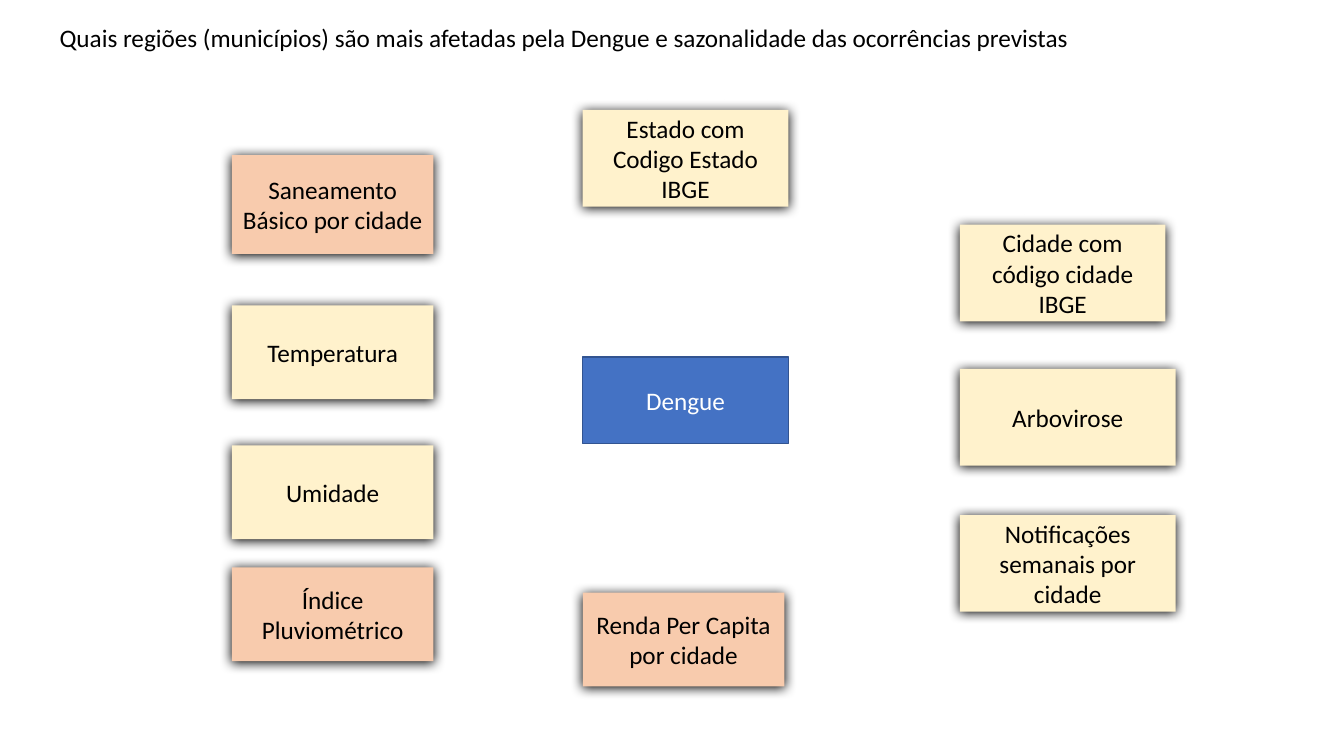
from dataclasses import dataclass

import pptx
import pptx.dml.color
import pptx.enum.shapes
import pptx.enum.text
import pptx.oxml
import pptx.oxml.ns
import pptx.presentation
import pptx.shapes.autoshape
import pptx.slide
import pptx.text.text
import pptx.util

RGBColor = pptx.dml.color.RGBColor
BLACK = RGBColor(0x00, 0x00, 0x00)
WHITE = RGBColor(0xFF, 0xFF, 0xFF)
BLUE = RGBColor(0x44, 0x72, 0xC4)
DARK_BLUE = RGBColor(0x32, 0x54, 0x91)
CREAM = RGBColor(0xFF, 0xF2, 0xCC)
SALMON = RGBColor(0xF8, 0xCB, 0xAD)

SLIDE_WIDTH = pptx.util.Inches(13.33)
SLIDE_HEIGHT = pptx.util.Inches(7.5)

# Horizontal values are percentages of the slide width, vertical ones of its height.
LEFT_COLUMN, CENTRE_COLUMN, RIGHT_COLUMN = 17.25, 43.36, 71.42
NARROW, MEDIUM, WIDE = 15, 15.3, 16.05
LOW, TALL = 12.4, 12.8

TITLE = (
    "Quais regiões (municípios) são mais afetadas pela Dengue "
    "e sazonalidade das ocorrências previstas"
)


@dataclass(frozen=True)
class Area:
    left: float
    top: float
    width: float
    height: float

    def to_lengths(self) -> tuple[int, int, int, int]:
        """Return left, top, width and height in EMU."""
        return (
            round(self.left * SLIDE_WIDTH / 100),
            round(self.top * SLIDE_HEIGHT / 100),
            round(self.width * SLIDE_WIDTH / 100),
            round(self.height * SLIDE_HEIGHT / 100),
        )


@dataclass(frozen=True)
class DataSource:
    text: str
    area: Area
    fill: RGBColor = CREAM


TITLE_AREA = Area(3.68, 2.27, 76.73, 5.33)
DENGUE_AREA = Area(CENTRE_COLUMN, 47.2, MEDIUM, 11.47)

DATA_SOURCES = [
    DataSource("Saneamento Básico por cidade", Area(LEFT_COLUMN, 20.53, NARROW, 13.07), SALMON),
    DataSource("Temperatura", Area(LEFT_COLUMN, 40.4, NARROW, LOW)),
    DataSource("Umidade", Area(LEFT_COLUMN, 58.93, NARROW, LOW)),
    DataSource("Índice Pluviométrico", Area(LEFT_COLUMN, 75.07, NARROW, LOW), SALMON),
    DataSource("Estado com Codigo Estado IBGE", Area(CENTRE_COLUMN, 14.53, MEDIUM, TALL)),
    DataSource("Renda Per Capita por cidade", Area(CENTRE_COLUMN, 78.4, NARROW, LOW), SALMON),
    DataSource("Cidade com código cidade IBGE", Area(RIGHT_COLUMN, 29.73, MEDIUM, TALL)),
    DataSource("Arbovirose", Area(RIGHT_COLUMN, 48.8, WIDE, TALL)),
    DataSource("Notificações semanais por cidade", Area(RIGHT_COLUMN, 68.13, WIDE, TALL)),
]


def write_text(
    text_frame: pptx.text.text.TextFrame,
    text: str,
    color: RGBColor,
    alignment: pptx.enum.text.PP_ALIGN,
) -> None:
    text_frame.text = text
    paragraph = text_frame.paragraphs[0]
    paragraph.alignment = alignment
    paragraph.font.name = "Calibri"
    paragraph.font.size = pptx.util.Pt(18)
    paragraph.font.color.rgb = color


def add_title(slide: pptx.slide.Slide) -> None:
    title = slide.shapes.title
    title.left, title.top, title.width, title.height = TITLE_AREA.to_lengths()
    write_text(title.text_frame, TITLE, BLACK, pptx.enum.text.PP_ALIGN.LEFT)
    title.text_frame.word_wrap = False
    title.text_frame.auto_size = pptx.enum.text.MSO_AUTO_SIZE.SHAPE_TO_FIT_TEXT
    title.text_frame.vertical_anchor = pptx.enum.text.MSO_ANCHOR.TOP


def add_box(
    slide: pptx.slide.Slide, text: str, area: Area, fill: RGBColor, text_color: RGBColor
) -> pptx.shapes.autoshape.Shape:
    shape = slide.shapes.add_shape(
        pptx.enum.shapes.MSO_SHAPE.RECTANGLE, *area.to_lengths()
    )
    shape.shadow.inherit = False
    shape.fill.solid()
    shape.fill.fore_color.rgb = fill
    shape.text_frame.word_wrap = True
    shape.text_frame.vertical_anchor = pptx.enum.text.MSO_ANCHOR.MIDDLE
    write_text(shape.text_frame, text, text_color, pptx.enum.text.PP_ALIGN.CENTER)
    return shape


def add_shadow(shape: pptx.shapes.autoshape.Shape) -> None:
    """Add a soft black shadow just below the shape."""
    effects = shape.element.spPr.find(pptx.oxml.ns.qn("a:effectLst"))
    blur, distance = pptx.util.Pt(8.5), pptx.util.Pt(1)
    effects.append(
        pptx.oxml.parse_xml(
            f'<a:outerShdw {pptx.oxml.ns.nsdecls("a")} blurRad="{blur}" dist="{distance}" '
            f'dir="5400000" algn="ctr" rotWithShape="0"><a:srgbClr val="{BLACK}"/></a:outerShdw>'
        )
    )


def add_data_source(slide: pptx.slide.Slide, source: DataSource) -> None:
    shape = add_box(slide, source.text, source.area, source.fill, BLACK)
    shape.line.fill.background()
    add_shadow(shape)


def add_dengue(slide: pptx.slide.Slide) -> None:
    shape = add_box(slide, "Dengue", DENGUE_AREA, BLUE, WHITE)
    shape.line.color.rgb = DARK_BLUE
    shape.line.width = pptx.util.Pt(1)


def main() -> None:
    presentation = pptx.Presentation()
    presentation.slide_width = SLIDE_WIDTH
    presentation.slide_height = SLIDE_HEIGHT
    title_only = presentation.slide_layouts.get_by_name("Title Only")
    slide = presentation.slides.add_slide(title_only)
    add_title(slide)
    add_dengue(slide)
    for source in DATA_SOURCES:
        add_data_source(slide, source)
    presentation.save("out.pptx")


if __name__ == "__main__":
    main()
